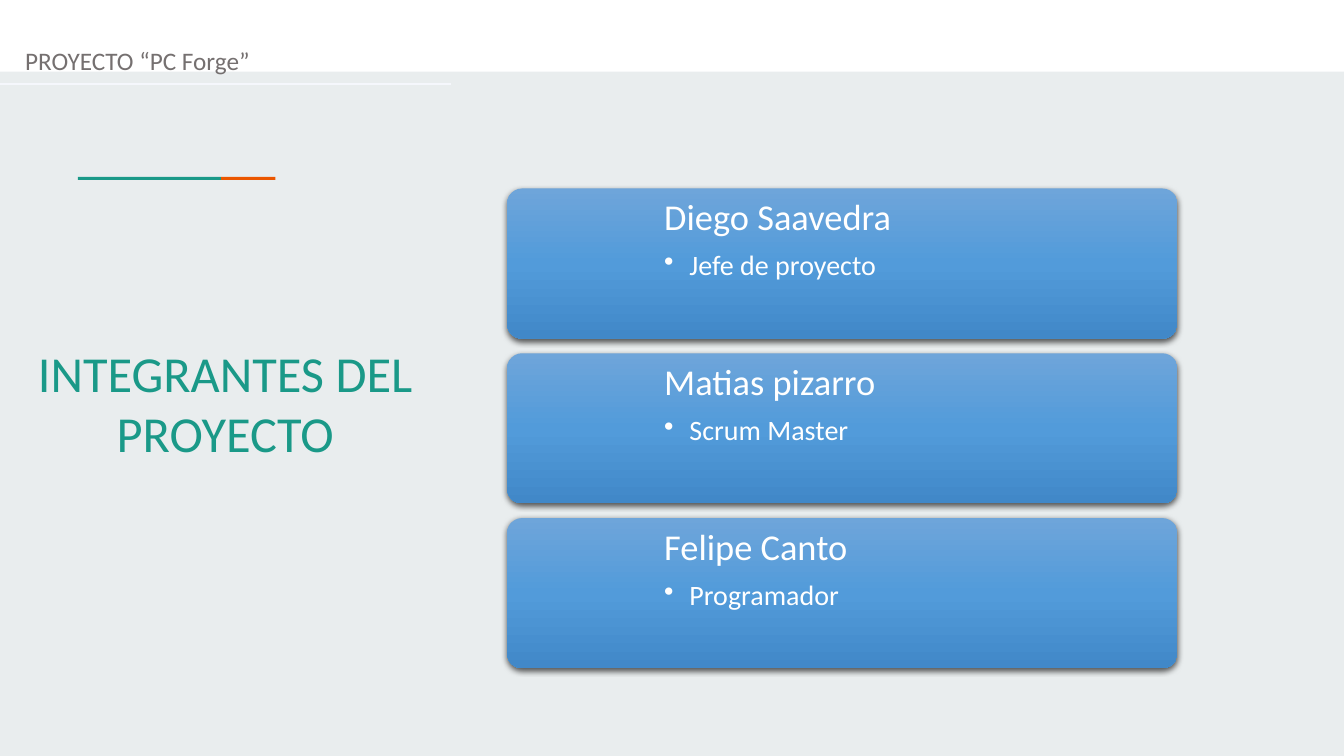
from copy import deepcopy
from dataclasses import dataclass

from lxml import etree
from pptx import Presentation
from pptx import util as u
from pptx.dml.color import RGBColor
from pptx.enum import shapes, text
from pptx.oxml.ns import qn

COLORS = {
    "background": "E9EDEE", "white": "FFFFFF", "teal": "1A9988",
    "orange": "EB5600", "gray": "757070", "rule": "F5F7FC",
    "card_top": "6EA5DA", "card_middle": "529BDA", "card_bottom": "4188C8",
    "shadow": "000000",
}
FONT = "Calibri"
SLIDE_WIDTH, SLIDE_HEIGHT = u.Inches(13.333), u.Inches(7.5)


@dataclass
class Area:
    """Left, top, width and height in percent of the slide."""
    left: float
    top: float
    width: float
    height: float

    def box(self) -> tuple:
        return (across(self.left), down(self.top),
                across(self.width), down(self.height))


@dataclass
class Member:
    name: str
    role: str


MEMBERS = [
    Member("Diego Saavedra", "Jefe de proyecto"),
    Member("Matias pizarro", "Scrum Master"),
    Member("Felipe Canto", "Programador"),
]
CARD_TOP, CARD_HEIGHT, CARD_PITCH = 24.93, 19.87, 21.8


def across(percent: float) -> int:
    return round(SLIDE_WIDTH * percent / 100)


def down(percent: float) -> int:
    return round(SLIDE_HEIGHT * percent / 100)


def color(name: str) -> RGBColor:
    return RGBColor.from_string(COLORS[name])


def add_child(parent, tag: str, **attributes):
    return etree.SubElement(parent, qn(tag), attributes)


def write(para, words: str, *, size: float, fill: str, align=text.PP_ALIGN.LEFT,
          spacing: float = 1.0, before: float = 0, bullet: bool = False) -> None:
    para.alignment = align
    para.line_spacing = spacing
    para.space_before = u.Pt(before)
    if bullet:
        props = para._p.get_or_add_pPr()
        props.set("marL", str(u.Inches(0.25)))
        props.set("indent", str(-u.Inches(0.25)))
        add_child(props, "a:buChar", char="•")
    span = para.add_run()
    span.text = words
    span.font.name = FONT
    span.font.size = u.Pt(size)
    span.font.color.rgb = color(fill)


def set_frame(frame, side: float = 0.1, end: float = 0.05) -> None:
    frame.word_wrap = True
    frame.vertical_anchor = text.MSO_ANCHOR.TOP
    frame.margin_left = frame.margin_right = u.Inches(side)
    frame.margin_top = frame.margin_bottom = u.Inches(end)


def add_block(page, area: Area, fill: str):
    block = page.shapes.add_shape(shapes.MSO_SHAPE.RECTANGLE, *area.box())
    block.shadow.inherit = False
    block.fill.solid()
    block.fill.fore_color.rgb = color(fill)
    block.line.fill.background()


def add_card(page, area: Area) -> None:
    card = page.shapes.add_shape(shapes.MSO_SHAPE.ROUNDED_RECTANGLE, *area.box())
    card.adjustments[0] = 0.1
    card.line.fill.background()

    # Three-stop vertical gradient
    card.fill.gradient()
    card.fill.gradient_angle = 270
    stop_list = card._element.spPr.find(qn("a:gradFill")).find(qn("a:gsLst"))
    stop_list.insert(1, deepcopy(stop_list[0]))
    names = ("card_top", "card_middle", "card_bottom")
    for index, (stop, name) in enumerate(zip(card.fill.gradient_stops, names)):
        stop.position = index / 2
        stop.color.rgb = color(name)

    # Soft shadow below the card
    card.shadow.inherit = False
    effects = card._element.spPr.find(qn("a:effectLst"))
    shadow = add_child(effects, "a:outerShdw", blurRad=str(u.Pt(4.5)),
                       dist=str(u.Pt(1.5)), dir="5400000", algn="ctr",
                       rotWithShape="0")
    tint = add_child(shadow, "a:srgbClr", val=COLORS["shadow"])
    add_child(tint, "a:alpha", val="63000")


def add_member(page, member: Member, top: float) -> None:
    add_card(page, Area(37.73, top, 49.88, CARD_HEIGHT))
    box = page.shapes.add_textbox(*Area(48.6, top, 39, CARD_HEIGHT).box())
    frame = box.text_frame
    set_frame(frame, side=0.11, end=0.11)
    write(frame.paragraphs[0], member.name, size=26, fill="white", spacing=0.9)
    role = frame.add_paragraph()
    role.level = 1
    write(role, member.role, size=20, fill="white", spacing=0.9,
          before=9.1, bullet=True)


def main() -> None:
    deck = Presentation()
    deck.slide_width, deck.slide_height = SLIDE_WIDTH, SLIDE_HEIGHT
    page = deck.slides.add_slide(deck.slide_layouts[5])
    page.background.fill.solid()
    page.background.fill.fore_color.rgb = color("background")

    # Top band and two-colour accent
    add_block(page, Area(0, 0, 100, 9.47), "white")
    add_block(page, Area(5.8, 23.4, 10.65, 0.4), "teal")
    add_block(page, Area(16.45, 23.4, 4.05, 0.4), "orange")

    # Team cards
    for row, member in enumerate(MEMBERS):
        add_member(page, member, CARD_TOP + row * CARD_PITCH)

    # Project name with its rule
    header = page.shapes.add_textbox(*Area(1.13, 5.33, 98.87, 5.33).box())
    set_frame(header.text_frame)
    write(header.text_frame.paragraphs[0], "PROYECTO “PC Forge”",
          size=18, fill="gray")
    rule = page.shapes.add_connector(shapes.MSO_CONNECTOR.STRAIGHT, 0,
                                     down(11.07), across(33.53), down(11.07))
    rule.line.color.rgb = color("rule")
    rule.line.width = u.Pt(1.25)
    add_child(rule._element.spPr, "a:effectLst")

    # Title
    title = page.shapes.title
    title.left, title.top, title.width, title.height = Area(
        1.95, 44.53, 29.63, 17.47).box()
    set_frame(title.text_frame)
    title.text_frame.auto_size = text.MSO_AUTO_SIZE.NONE
    write(title.text_frame.paragraphs[0], "INTEGRANTES DEL PROYECTO",
          size=36, fill="teal", align=text.PP_ALIGN.CENTER)

    deck.save("out.pptx")


if __name__ == "__main__":
    main()
